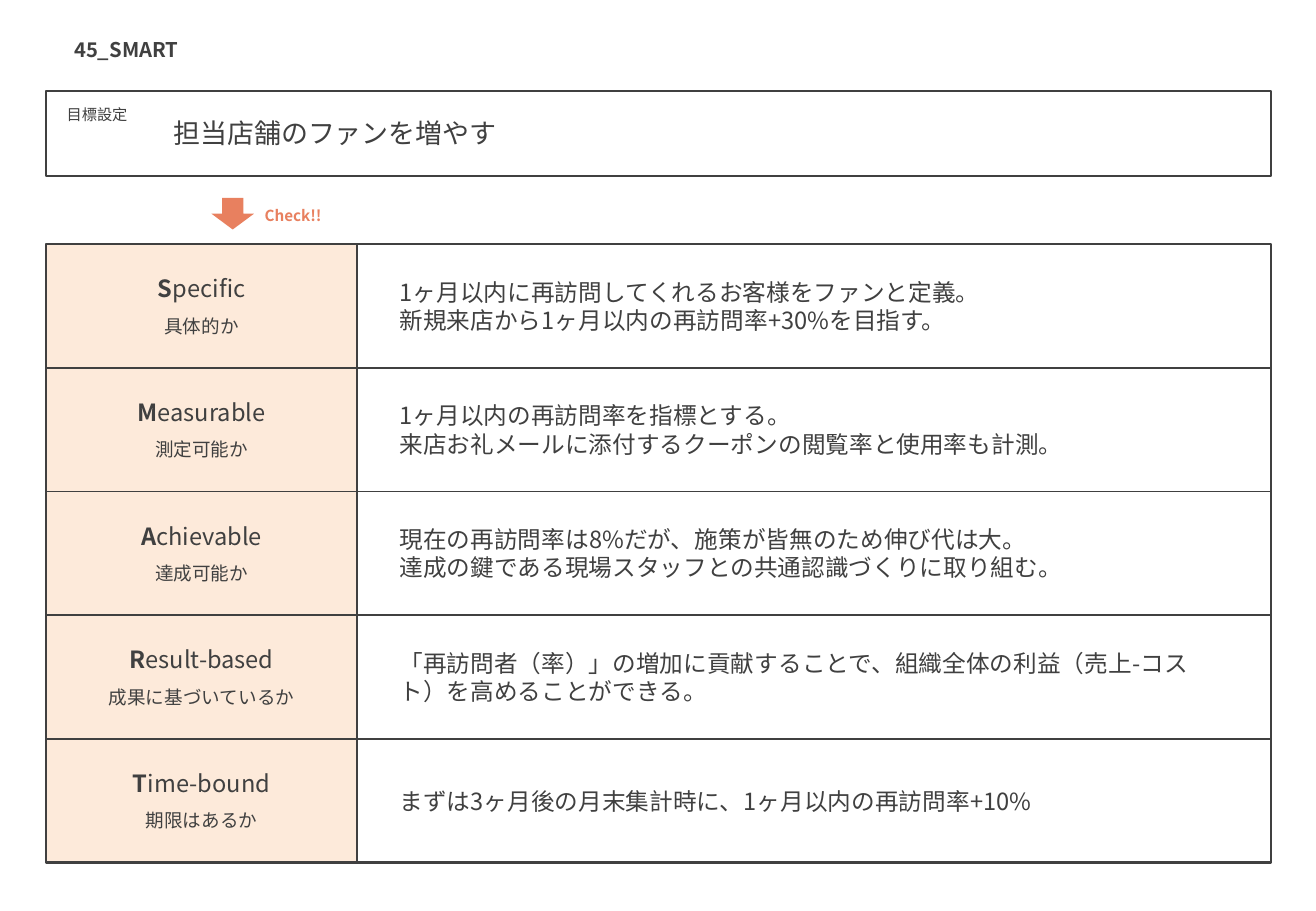
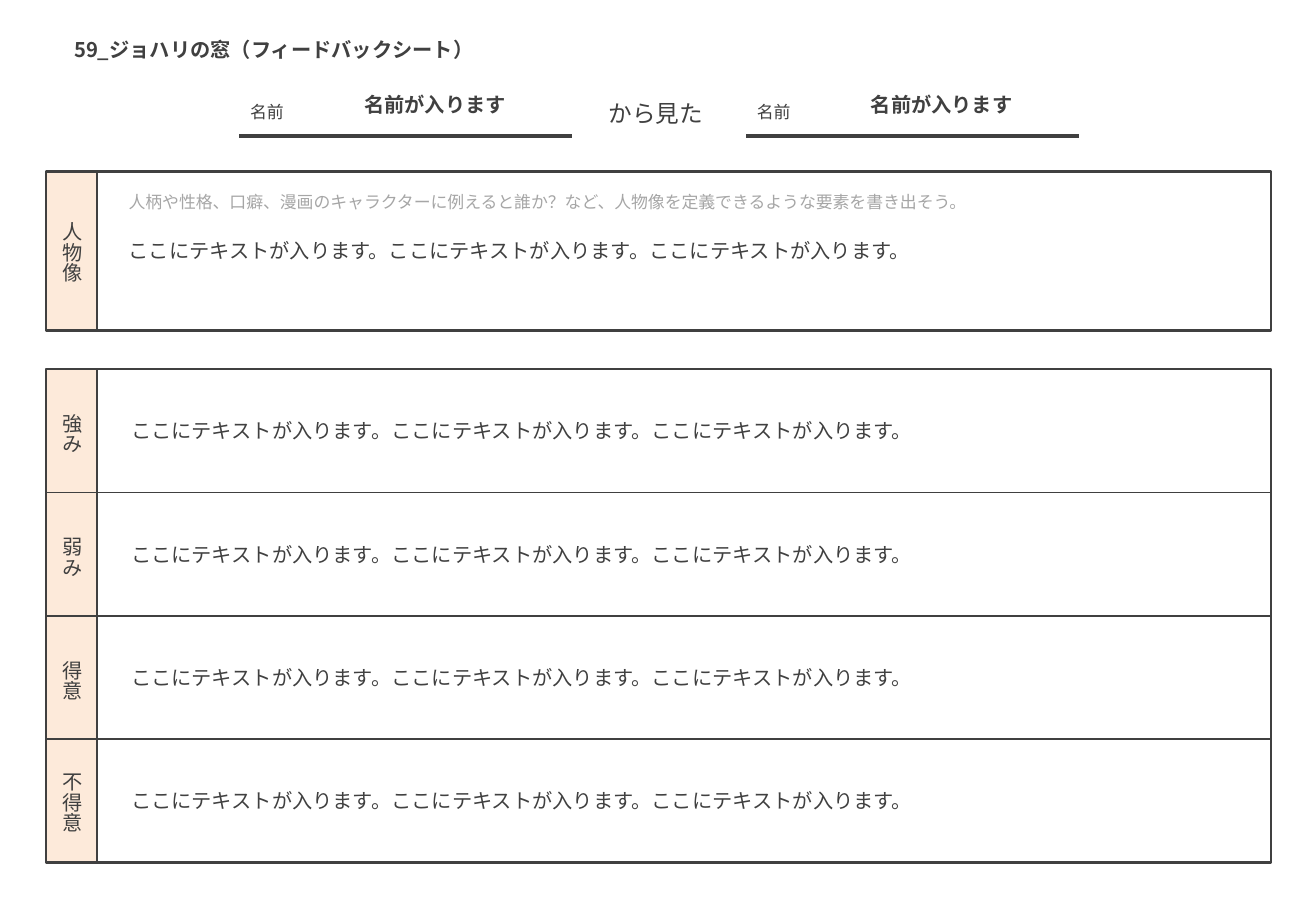
"""Builds a SMART goal sheet and a Johari window feedback sheet."""
from lxml.etree import SubElement
from pptx import Presentation
from pptx.dml.color import RGBColor
from pptx.enum.shapes import MSO_CONNECTOR, MSO_SHAPE
from pptx.enum.text import MSO_ANCHOR, PP_ALIGN
from pptx.oxml.ns import qn
from pptx.util import Inches, Pt

FONT = "Noto Sans CJK JP"
INK, ACCENT, PEACH, HINT = "404040", "E8805F", "FDEADA", "A6A6A6"
LEFT, RIGHT, BOTTOM = 0.38, 10.46, 7.1
WIDTH = RIGHT - LEFT

GOAL = "担当店舗のファンを増やす"
SMART_COLUMN, SMART_TOP = 2.56, 2.01
SMART = [
    ("Specific", "具体的か", 6.98,
     ["1ヶ月以内に再訪問してくれるお客様をファンと定義。",
      "新規来店から1ヶ月以内の再訪問率+30%を目指す。"]),
    ("Measurable", "測定可能か", 6.98,
     ["1ヶ月以内の再訪問率を指標とする。",
      "来店お礼メールに添付するクーポンの閲覧率と使用率も計測。"]),
    ("Achievable", "達成可能か", 6.98,
     ["現在の再訪問率は8%だが、施策が皆無のため伸び代は大。",
      "達成の鍵である現場スタッフとの共通認識づくりに取り組む。"]),
    ("Result-based", "成果に基づいているか", 6.98,
     ["「再訪問者（率）」の増加に貢献することで、組織全体の利益（売上-コスト）を高めることができる。"]),
    ("Time-bound", "期限はあるか", 5.5,
     ["まずは3ヶ月後の月末集計時に、1ヶ月以内の再訪問率+10%"]),
]

JOHARI_COLUMN = 0.42
PORTRAIT_TOP, PORTRAIT_HEIGHT, TRAITS_TOP = 1.41, 1.31, 3.04
TRAITS = ["強み", "弱み", "得意", "不得意"]
HINT_TEXT = "人柄や性格、口癖、漫画のキャラクターに例えると誰か？など、人物像を定義できるような要素を書き出そう。"
FILLER = "ここにテキストが入ります。" * 3
NAME_LEFTS, NAME_WIDTH, NAME_LINE = (1.97, 6.14), 2.74, 1.12


def color(value):
    return RGBColor.from_string(value)


def write(shape, lines, size, ink=INK, bold=False, align=PP_ALIGN.LEFT,
          anchor=MSO_ANCHOR.TOP, wrap=False, font=FONT, vertical=False, bold_initial=False):
    """Fill a shape with paragraphs in one style."""
    frame = shape.text_frame
    frame.word_wrap, frame.vertical_anchor = wrap, anchor
    frame.margin_left = frame.margin_right = Inches(0.1)
    frame.margin_top = frame.margin_bottom = Inches(0.05)
    if vertical:
        frame._txBody.bodyPr.set("vert", "eaVert")
    for index, line in enumerate(lines):
        paragraph = frame.add_paragraph() if index else frame.paragraphs[0]
        paragraph.alignment = align
        paragraph.font.name, paragraph.font.size = font, Pt(size)
        paragraph.font.bold = bold
        paragraph.font.color.rgb = color(ink)
        SubElement(paragraph.font._element, qn("a:ea"), typeface=FONT)
        if bold_initial:
            paragraph.add_run().text = line[0]
            paragraph.runs[0].font.bold = True
            line = line[1:]
        paragraph.add_run().text = line


def text(slide, box, lines, size, **style):
    write(slide.shapes.add_textbox(*map(Inches, box)), lines, size, **style)


def block(slide, box, fill=None, outlined=False, preset=MSO_SHAPE.RECTANGLE):
    shape = slide.shapes.add_shape(preset, *map(Inches, box))
    shape.shadow.inherit = False
    if fill:
        shape.fill.solid()
        shape.fill.fore_color.rgb = color(fill)
    else:
        shape.fill.background()
    if outlined:
        shape.line.color.rgb, shape.line.width = color(INK), Pt(1.5)
    else:
        shape.line.fill.background()


def rule(slide, start, end, weight=1):
    line = slide.shapes.add_connector(MSO_CONNECTOR.STRAIGHT, *map(Inches, start + end))
    line.line.color.rgb, line.line.width = color(INK), Pt(weight)
    SubElement(line._element.spPr, qn("a:effectLst"))


def panel(slide, top, height, column, rows=1):
    """Draw a framed grid with a tinted first column; return the row tops and row height."""
    pitch = height / rows
    tops = [top + pitch * row for row in range(rows)]
    block(slide, (LEFT, top, column, height), PEACH)
    for row_top in tops[1:]:
        rule(slide, (LEFT, row_top), (RIGHT, row_top))
    rule(slide, (LEFT + column, top), (LEFT + column, top + height))
    block(slide, (LEFT, top, WIDTH, height), outlined=True)
    return tops, pitch


def sheet(deck, title):
    slide = deck.slides.add_slide(deck.slide_layouts[5])
    heading = slide.shapes.title
    heading.left, heading.top, heading.width, heading.height = map(Inches, (0.51, 0.26, 3.6, 0.3))
    write(heading, [title], 12, bold=True)
    return slide


def smart_sheet(deck):
    slide = sheet(deck, "45_SMART")
    block(slide, (LEFT, 0.75, WIDTH, 0.7), outlined=True)
    text(slide, (0.45, 0.82, 0.76, 0.25), ["目標設定"], 9)
    text(slide, (1.33, 0.91, 3.1, 0.37), [GOAL], 16, anchor=MSO_ANCHOR.MIDDLE)
    block(slide, (1.74, 1.63, 0.35, 0.26), ACCENT, preset=MSO_SHAPE.DOWN_ARROW)
    text(slide, (2.08, 1.65, 0.7, 0.25), ["Check!!"], 9, ink=ACCENT, bold=True)
    tops, pitch = panel(slide, SMART_TOP, BOTTOM - SMART_TOP, SMART_COLUMN, len(SMART))
    for top, (criterion, question, width, answer) in zip(tops, SMART):
        text(slide, (LEFT, top + 0.2, SMART_COLUMN, 0.34), [criterion], 14,
             align=PP_ALIGN.CENTER, bold_initial=True)
        text(slide, (LEFT, top + 0.53, SMART_COLUMN, 0.29), [question], 11, align=PP_ALIGN.CENTER)
        text(slide, (3.19, top + (pitch - 0.57) / 2, width, 0.57), answer, 14,
             anchor=MSO_ANCHOR.MIDDLE, wrap=True)


def side_label(slide, label, top, height):
    length = 0.1 + 0.19 * len(label)
    text(slide, (LEFT, top + (height - length) / 2, JOHARI_COLUMN, length), [label], 12,
         align=PP_ALIGN.CENTER, anchor=MSO_ANCHOR.MIDDLE, vertical=True)


def johari_sheet(deck):
    slide = sheet(deck, "59_ジョハリの窓（フィードバックシート）")
    for left in NAME_LEFTS:
        rule(slide, (left, NAME_LINE), (left + NAME_WIDTH, NAME_LINE), 2.25)
        text(slide, (left - 0.01, 0.75, 0.5, 0.3), ["名前"], 10, anchor=MSO_ANCHOR.BOTTOM)
        text(slide, (left + 0.49, 0.71, 2.24, 0.3), ["名前が入ります"], 12, bold=True,
             align=PP_ALIGN.CENTER, anchor=MSO_ANCHOR.MIDDLE, wrap=True)
    text(slide, (4.91, 0.75, 1.02, 0.37), ["から見た"], 14, anchor=MSO_ANCHOR.MIDDLE)

    panel(slide, PORTRAIT_TOP, PORTRAIT_HEIGHT, JOHARI_COLUMN)
    side_label(slide, "人物像", PORTRAIT_TOP, PORTRAIT_HEIGHT)
    text(slide, (0.96, 1.53, 7.47, 0.3), [HINT_TEXT], 10, ink=HINT, font="Calibri")
    text(slide, (0.96, 1.91, 9.29, 0.3), [FILLER], 12, anchor=MSO_ANCHOR.MIDDLE, wrap=True)

    tops, pitch = panel(slide, TRAITS_TOP, BOTTOM - TRAITS_TOP, JOHARI_COLUMN, len(TRAITS))
    for top, trait in zip(tops, TRAITS):
        side_label(slide, trait, top, pitch)
        text(slide, (0.98, top + (pitch - 0.3) / 2, 9.29, 0.3), [FILLER], 12,
             anchor=MSO_ANCHOR.MIDDLE, wrap=True)


def main():
    deck = Presentation()
    deck.slide_width, deck.slide_height = Inches(10.83), Inches(7.5)
    smart_sheet(deck)
    johari_sheet(deck)
    deck.save("out.pptx")


if __name__ == "__main__":
    main()
